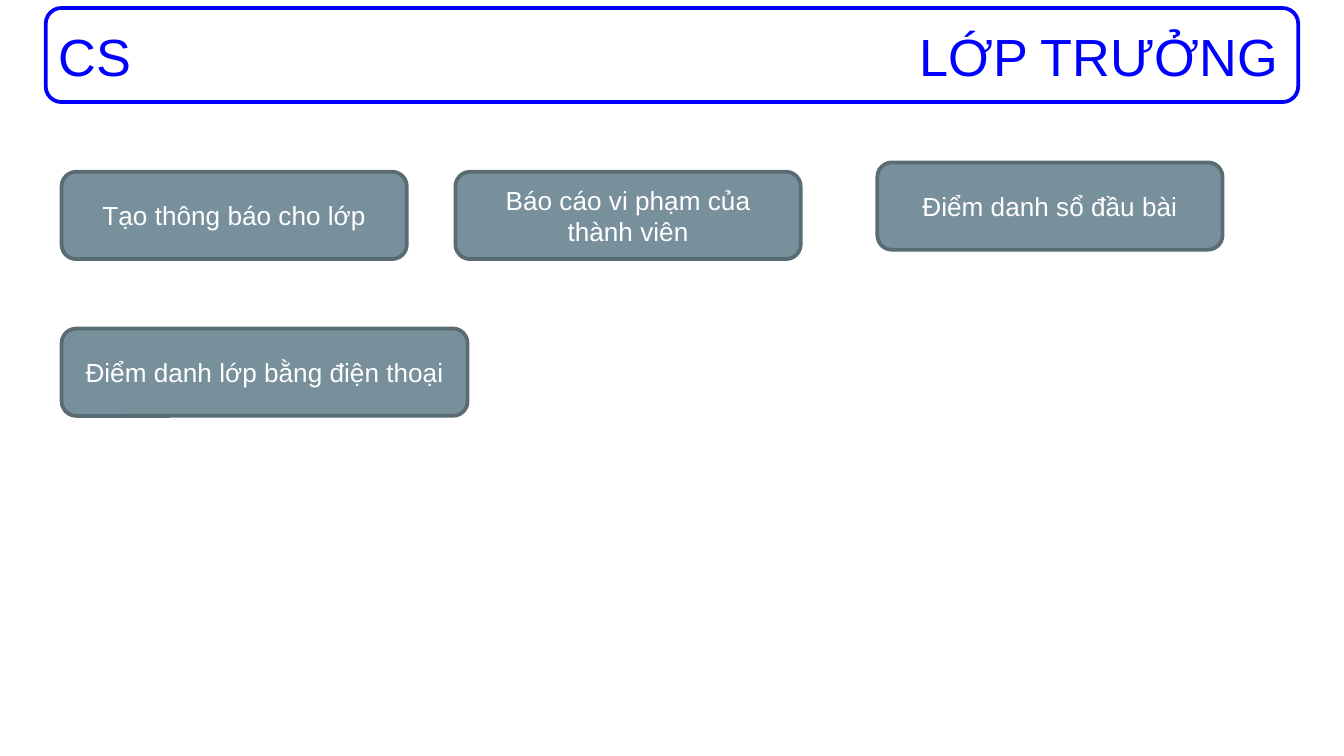
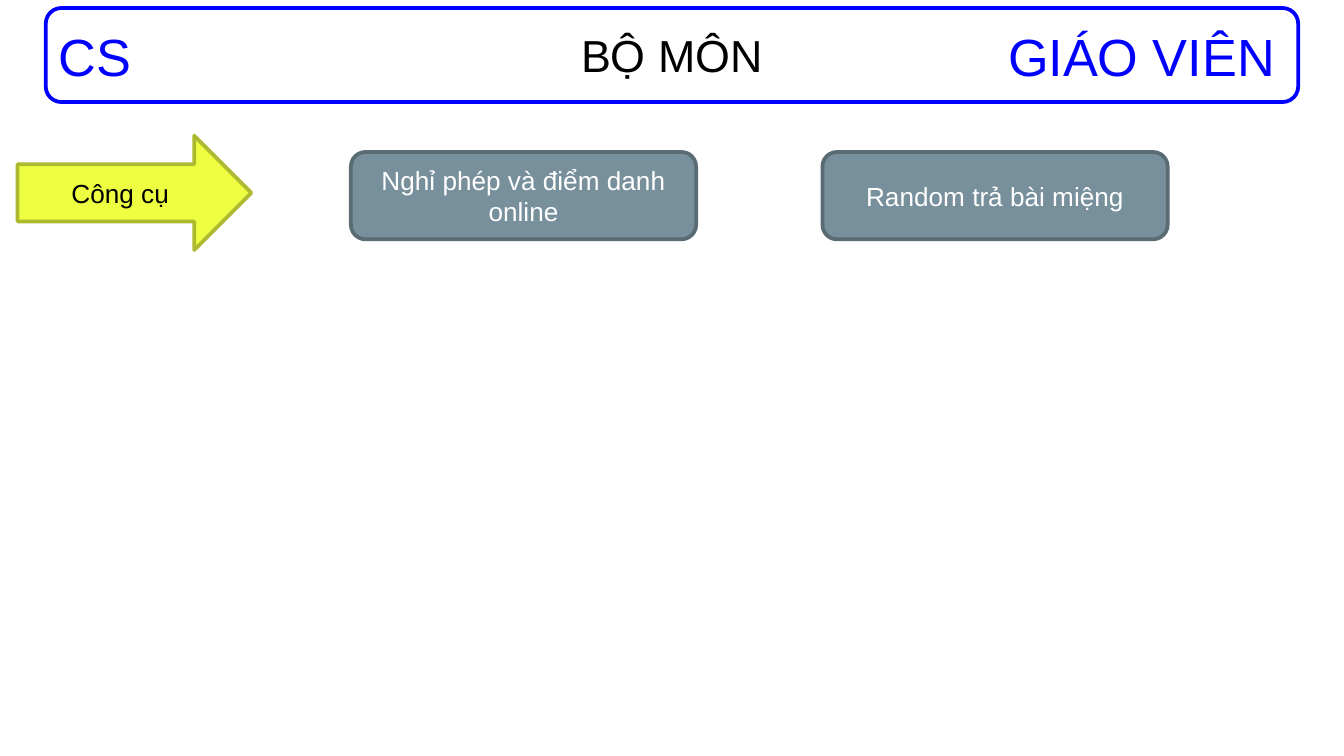
from pptx import Presentation
from pptx.dml.color import RGBColor
from pptx.enum.shapes import MSO_SHAPE
from pptx.enum.text import MSO_ANCHOR, MSO_AUTO_SIZE, PP_ALIGN
from pptx.util import Pt

ROUND, ARROW = MSO_SHAPE.ROUNDED_RECTANGLE, MSO_SHAPE.RIGHT_ARROW
TOP, MIDDLE = MSO_ANCHOR.TOP, MSO_ANCHOR.MIDDLE
LEFT, CENTER = PP_ALIGN.LEFT, PP_ALIGN.CENTER

# Shared look
FONT = "Arial"
BLUE, WHITE, BLACK = "0000FF", "FFFFFF", "000000"
SLATE, SLATE_EDGE = "78909C", "596B73"
LIME, LIME_EDGE = "EEFF41", "ADBA2F"

# Header band and button measures, in points
BAND = (24.5, 4.3, 671, 50.4)
HEAD_TOP, HEAD_H = 9.4, 41
RIGHT = BAND[0] + BAND[2]
BTN_W, BTN_H = 185, 46.8


def color(code):
    return RGBColor.from_string(code)


def write(shape, text, size=14, ink=WHITE, align=CENTER, anchor=MIDDLE, pad=3.6):
    frame = shape.text_frame
    frame.word_wrap = True
    frame.auto_size = MSO_AUTO_SIZE.NONE
    frame.vertical_anchor = anchor
    frame.margin_left = frame.margin_right = Pt(7.2)
    frame.margin_top = frame.margin_bottom = Pt(pad)
    para = frame.paragraphs[0]
    para.alignment = align
    run = para.add_run()
    run.text = text
    run.font.name = FONT
    run.font.size = Pt(size)
    run.font.color.rgb = color(ink)


def draw(shapes, kind, box, edge, fill=None):
    shape = shapes.add_shape(kind, *map(Pt, box))
    shape.shadow.inherit = False
    if fill:
        shape.fill.solid()
        shape.fill.fore_color.rgb = color(fill)
    else:
        shape.fill.background()
    shape.line.color.rgb = color(edge)
    shape.line.width = Pt(2)
    return shape


def label(shapes, box, text, **style):
    write(shapes.add_textbox(*map(Pt, box)), text, **style)


def button(slide, x, y, text, width=BTN_W):
    box = (x, y, width, BTN_H)
    write(draw(slide.shapes, ROUND, box, SLATE_EDGE, SLATE), text)


def add_page(deck, role, width):
    """Add a slide with the header band and the role as its title."""
    slide = deck.slides.add_slide(deck.slide_layouts[5])
    style = dict(size=28, ink=BLUE, align=LEFT, anchor=TOP)
    title = slide.shapes.title
    title.left, title.top = Pt(RIGHT - width), Pt(HEAD_TOP)
    title.width, title.height = Pt(width), Pt(HEAD_H)
    write(title, role, **style)
    band = slide.shapes.add_group_shape().shapes
    draw(band, ROUND, BAND, BLUE)
    label(band, (BAND[0], HEAD_TOP, 219.6, HEAD_H), "CS", **style)
    return slide


def main():
    deck = Presentation()
    deck.slide_width, deck.slide_height = Pt(720), Pt(405)

    # Class monitor
    slide = add_page(deck, "LỚP TRƯỞNG", 210)
    button(slide, 33, 92, "Tạo thông báo cho lớp")
    button(slide, 244, 92, "Báo cáo vi phạm của thành viên")
    button(slide, 470, 87, "Điểm danh sổ đầu bài")
    button(slide, 33, 176, "Điểm danh lớp bằng điện thoại", width=217.5)

    # Subject teacher
    slide = add_page(deck, "GIÁO VIÊN", 162.7)
    button(slide, 188, 81.4, "Nghỉ phép và điểm danh online")
    label(slide.shapes, (266, BAND[1], 188, BAND[3]), "BỘ MÔN",
          size=24, ink=BLACK, pad=7.2)
    arrow = draw(slide.shapes, ARROW, (9.4, 72.7, 125.3, 61.2), LIME_EDGE, LIME)
    write(arrow, "Công cụ", ink=BLACK)
    button(slide, 440.6, 81.4, "Random trả bài miệng")

    deck.save("out.pptx")


if __name__ == "__main__":
    main()
